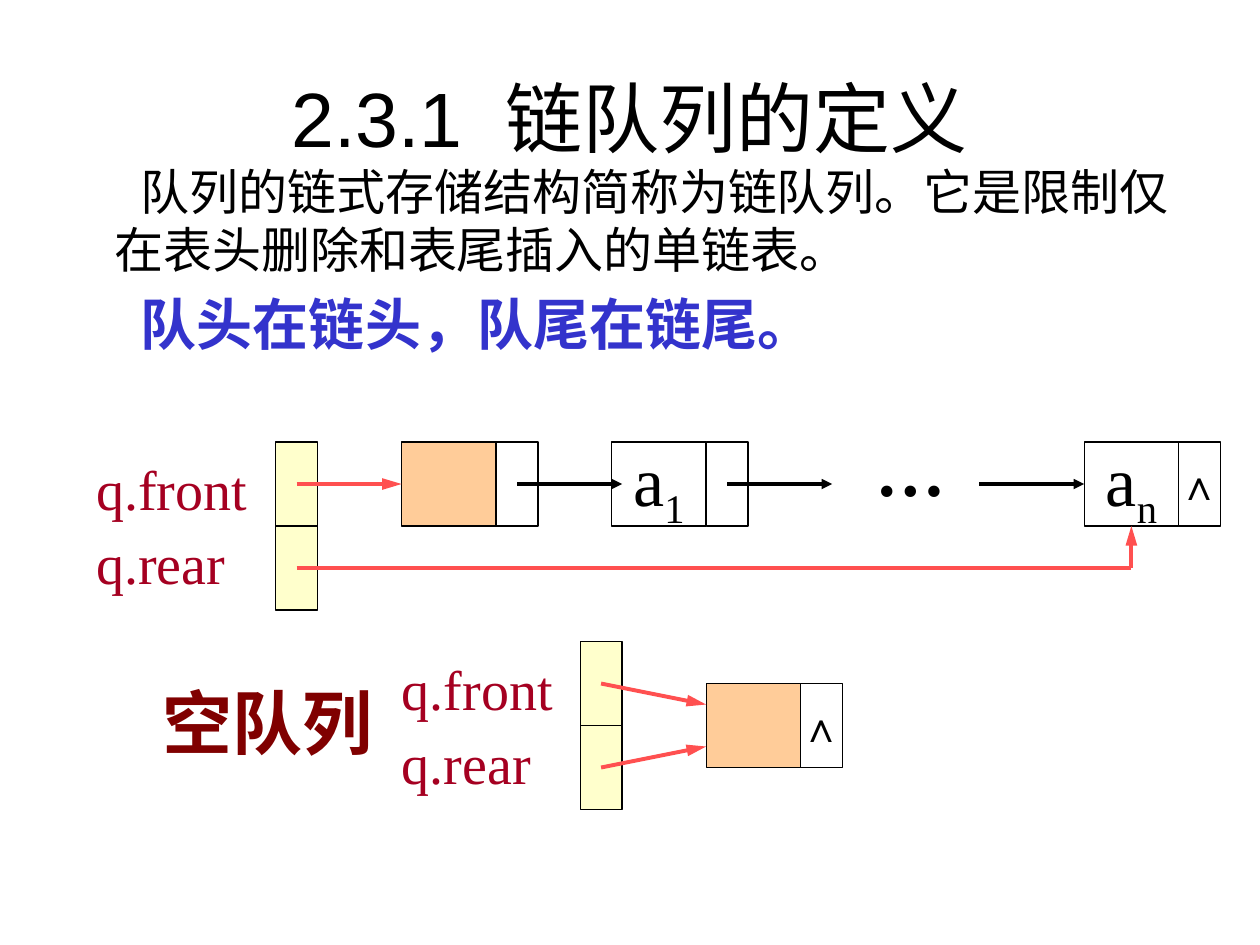
from lxml import etree
from pptx import Presentation
from pptx import util as u
from pptx.dml.color import RGBColor
from pptx.enum import shapes, text
from pptx.oxml.ns import qn

SERIF = "Times New Roman"
BLACK, RED, WINE = "000000", "FF5050", "A50021"
YELLOW, ORANGE = "FFFFCC", "FFCC99"
DATA, LINK, HEIGHT = 9, 4, 8


def color(value):
    return RGBColor.from_string(value)


class Board:
    columns, rows = 120, 90

    def __init__(self, presentation):
        self.width = presentation.slide_width
        self.height = presentation.slide_height
        self.slide = presentation.slides.add_slide(presentation.slide_layouts[6])

    def x(self, column):
        return int(self.width * column / self.columns)

    def y(self, row):
        return int(self.height * row / self.rows)

    def area(self, left, top, width, height):
        return self.x(left), self.y(top), self.x(width), self.y(height)

    def style(self, run, size, ink, font=SERIF, bold=False):
        run.font.size = u.Pt(size)
        run.font.name = font
        run.font.bold = bold
        run.font.color.rgb = color(ink)

    def label(self, area, words, size, ink, font=SERIF, bold=False, wrap=True,
              align=text.PP_ALIGN.LEFT, anchor=text.MSO_ANCHOR.TOP,
              spacing=1.0, margin=0, indent=0):
        frame = self.slide.shapes.add_textbox(*self.area(*area)).text_frame
        frame.text = words
        frame.word_wrap = wrap
        frame.vertical_anchor = anchor
        for paragraph in frame.paragraphs:
            paragraph.alignment = align
            paragraph.line_spacing = spacing
            properties = paragraph._p.get_or_add_pPr()
            properties.set("marL", str(u.Inches(margin)))
            properties.set("indent", str(u.Inches(indent)))
            for run in paragraph.runs:
                self.style(run, size, ink, font, bold)

    def cell(self, left, top, width, fill=None, words="", size=40, subscript=""):
        shape = self.slide.shapes.add_shape(
            shapes.MSO_SHAPE.RECTANGLE, *self.area(left, top, width, HEIGHT))
        shape.shadow.inherit = False
        if fill:
            shape.fill.solid()
            shape.fill.fore_color.rgb = color(fill)
        else:
            shape.fill.background()
        shape.line.color.rgb = color(BLACK)
        shape.line.width = u.Pt(0.75)
        if words:
            frame = shape.text_frame
            frame.text = words
            frame.word_wrap = False
            frame.vertical_anchor = text.MSO_ANCHOR.MIDDLE
            paragraph = frame.paragraphs[0]
            paragraph.alignment = text.PP_ALIGN.CENTER
            if subscript:
                run = paragraph.add_run()
                run.text = subscript
                run._r.get_or_add_rPr().set("baseline", "-25000")
            for run in paragraph.runs:
                self.style(run, size, BLACK)
        return shape

    def node(self, left, top, fill=None, words="", subscript="", last=False):
        self.cell(left + DATA, top, LINK, words="∧" if last else "", size=24)
        return self.cell(left, top, DATA, fill, words, subscript=subscript)

    def pointers(self, left, top, label_left):
        for row in (top, top + HEIGHT):
            self.cell(left, row, LINK, YELLOW)
        self.label((label_left, top, 16.8, 15.4), "q.front\nq.rear", 32, WINE,
                   wrap=False, spacing=1.1)

    def line(self, start, end, ink=RED, width=2.25, head="lg", target=None, side=1):
        connector = self.slide.shapes.add_connector(
            shapes.MSO_CONNECTOR.STRAIGHT, self.x(start[0]), self.y(start[1]),
            self.x(end[0]), self.y(end[1]))
        connector.line.color.rgb = color(ink)
        connector.line.width = u.Pt(width)
        if head:
            etree.SubElement(connector.line._get_or_add_ln(), qn("a:tailEnd"),
                             type="triangle", w="med", len=head)
        etree.SubElement(connector._element.spPr, qn("a:effectLst"))
        if target is not None:
            connector.end_connect(target, side)


def draw_text(board):
    board.label((6, 3.6, 108, 15), "2.3.1  链队列的定义", 44, BLACK, "Arial",
                align=text.PP_ALIGN.CENTER, anchor=text.MSO_ANCHOR.MIDDLE)
    board.label((5.16, 14.76, 107.76, 15.12),
                "队列的链式存储结构简称为链队列。它是限制仅在表头删除和表尾插入的单链表。",
                28, BLACK, "Arial", margin=0.38, indent=0.21)
    board.label((3.84, 27, 115.8, 9.5), "队头在链头，队尾在链尾。", 32, "3333CC",
                "Arial", bold=True, indent=0.7)
    board.label((14.28, 64.1, 23.76, 9.2), "空队列", 40, "800000", bold=True)


def draw_queue(board):
    left, top = 26.25, 42.1
    middle, bottom = top + HEIGHT / 2, top + HEIGHT
    header, first, final = left + 12, left + 32, left + 77
    board.pointers(left, top, 8)
    header_node = board.node(header, top, ORANGE)
    board.node(first, top, words="a", subscript="1")
    final_node = board.node(final, top, words="a", subscript="n", last=True)
    board.label((82.2, 40, 11, 9.2), "…", 40, BLACK, bold=True)

    pointer = left + LINK / 2
    board.line((pointer, middle), (header, middle), target=header_node)
    for start, target in ((header + 11, None), (first + 11, None),
                          (final - 10, final_node)):
        board.line((start, middle), (start + 10, middle), BLACK, 2, "med", target)
    corner = (final + DATA / 2, middle + HEIGHT)
    board.line((pointer, corner[1]), corner, head=None)
    board.line(corner, (corner[0], bottom), target=final_node, side=2)


def draw_empty_queue(board):
    left, top = 55.25, 61.1
    header, header_top = left + 12, top + HEIGHT / 2
    board.pointers(left, top, 37.1)
    board.node(header, header_top, ORANGE, last=True)
    for start, end in ((4, 2), (12, 6)):
        board.line((left + LINK / 2, top + start), (header, header_top + end))


def main():
    presentation = Presentation()
    presentation.slide_width = u.Inches(10)
    presentation.slide_height = u.Inches(7.5)
    board = Board(presentation)
    draw_text(board)
    draw_queue(board)
    draw_empty_queue(board)
    presentation.save("out.pptx")


if __name__ == "__main__":
    main()
